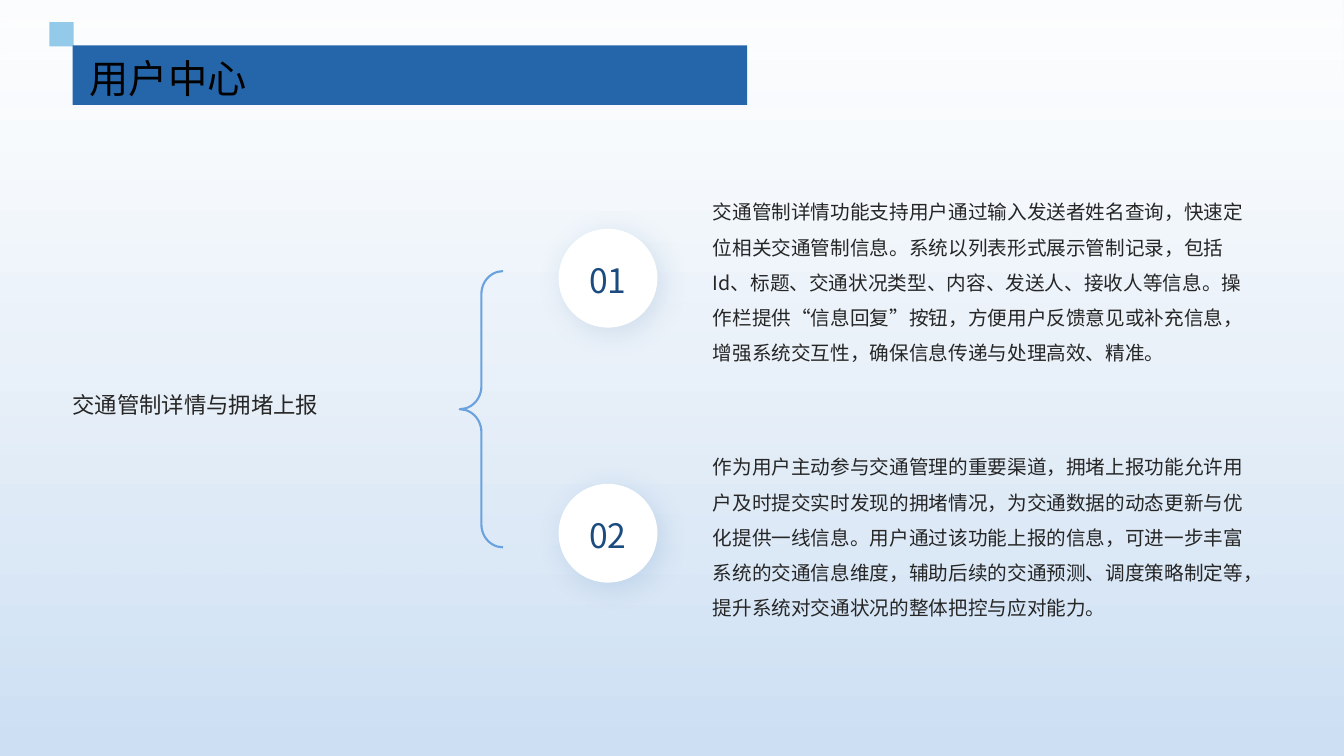
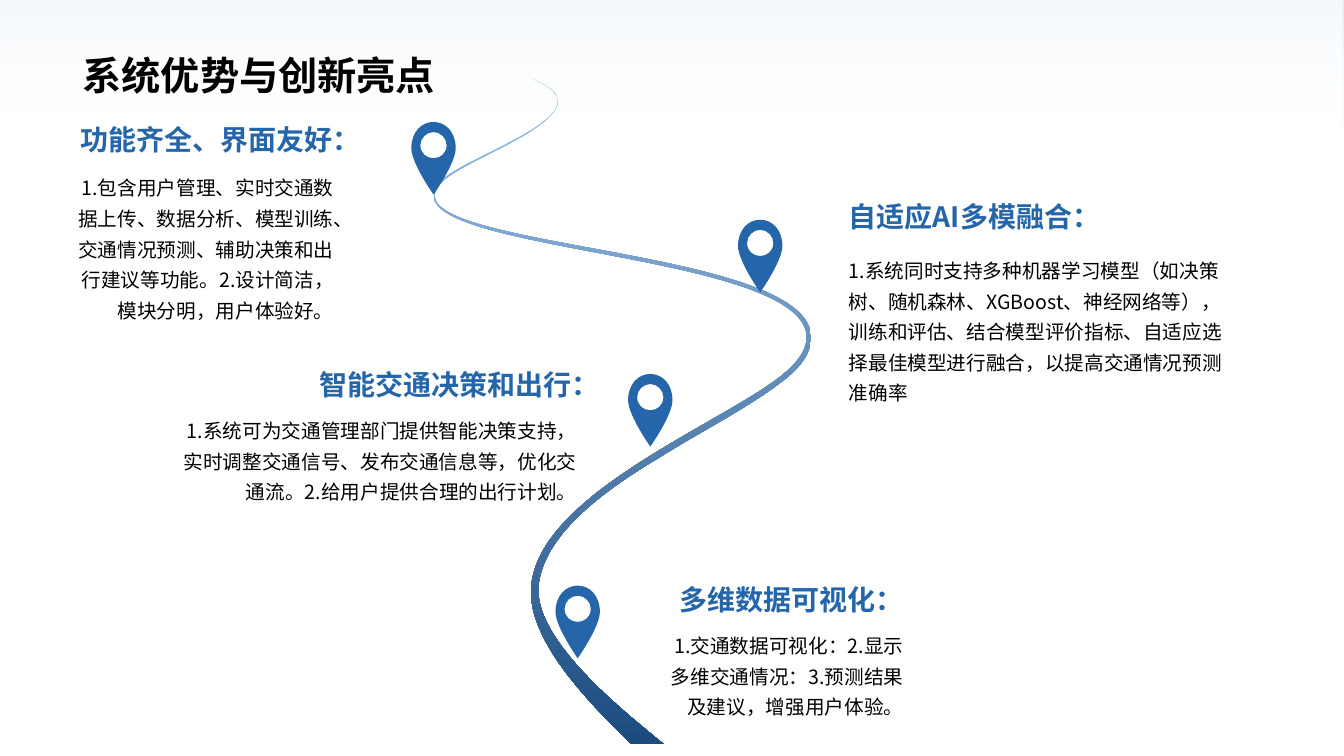
import pptx
import pptx.util
import pptx.dml.color
import pptx.enum.shapes
import pptx.enum.text
import pptx.oxml.ns
from lxml import etree

Inches = pptx.util.Inches
Pt = pptx.util.Pt
RGB = pptx.dml.color.RGBColor
qn = pptx.oxml.ns.qn
SHAPE = pptx.enum.shapes.MSO_SHAPE
ALIGN = pptx.enum.text.PP_ALIGN
ANCHOR = pptx.enum.text.MSO_ANCHOR

BLACK = RGB(0x00, 0x00, 0x00)
WHITE = RGB(0xFF, 0xFF, 0xFF)
GREY = RGB(0x26, 0x26, 0x26)
BLUE = RGB(0x25, 0x65, 0xA9)
NAVY = RGB(0x1C, 0x4C, 0x7F)
PALE = RGB(0xCD, 0xE0, 0xF4)
SKY = RGB(0x94, 0xCA, 0xE9)
LIGHT = RGB(0x9B, 0xC1, 0xE9)
LINE = RGB(0x69, 0xA2, 0xDE)

SANS = "Noto Sans CJK SC"
GOTHIC = "Noto Sans CJK JP"
WIDE, HIGH = 13.33, 7.5
UP, DOWN = 90, 270
INSET = (0.1, 0.05, 0.1, 0.05)
FLUSH = (0, 0, 0, 0)

PIN = [
    ((0.22, 0), [
        (0.1, 0, 0, 0.1, 0, 0.26),
        (0, 0.41, 0.22, 0.72, 0.22, 0.72),
        (0.22, 0.72, 0.44, 0.41, 0.44, 0.26),
        (0.44, 0.1, 0.34, 0, 0.22, 0),
    ]),
    ((0.22, 0.36), [
        (0.15, 0.36, 0.09, 0.31, 0.09, 0.23),
        (0.09, 0.16, 0.15, 0.1, 0.22, 0.1),
        (0.29, 0.1, 0.35, 0.16, 0.35, 0.23),
        (0.35, 0.31, 0.29, 0.36, 0.22, 0.36),
    ]),
]
ROAD = [
    ((0.97, 5.05), [
        (1.04, 4.13, 2.87, 3.43, 3.46, 2.95),
        (3.57, 2.86, 3.72, 2.72, 3.7, 2.54),
        (3.58, 1.76, 0.01, 1.73, 0, 1.17),
        (0, 1.11, 0.03, 1.07, 0.06, 1.04),
        (0.24, 0.83, 1.3, 0.49, 1.23, 0.21),
        (1.21, 0.13, 1.1, 0.06, 0.95, 0),
        (1.09, 0.05, 1.22, 0.13, 1.23, 0.21),
        (1.28, 0.45, 0.57, 0.73, 0.28, 0.9),
        (0.19, 0.95, 0.01, 1.05, 0.01, 1.17),
        (0.01, 1.69, 3.61, 1.72, 3.74, 2.53),
        (3.77, 2.73, 3.62, 2.88, 3.5, 2.98),
        (3.15, 3.26, 2.65, 3.51, 2.27, 3.75),
        (1.87, 3.99, 1.09, 4.47, 1.04, 5.05),
        (1, 5.6, 1.93, 6.32, 2.28, 6.61),
        (2.28, 6.61, 1.96, 6.61, 1.96, 6.61),
        (1.64, 6.29, 0.92, 5.61, 0.97, 5.05),
    ]),
]

TOPIC = "交通管制详情与拥堵上报"
POINTS = [
    "交通管制详情功能支持用户通过输入发送者姓名查询，快速定位相关交通管制信息。系统以列表形式展示管制记录，包括 Id、标题、交通状况类型、内容、发送人、接收人等信息。操作栏提供“信息回复”按钮，方便用户反馈意见或补充信息，增强系统交互性，确保信息传递与处理高效、精准。",
    "作为用户主动参与交通管理的重要渠道，拥堵上报功能允许用户及时提交实时发现的拥堵情况，为交通数据的动态更新与优化提供一线信息。用户通过该功能上报的信息，可进一步丰富系统的交通信息维度，辅助后续的交通预测、调度策略制定等，提升系统对交通状况的整体把控与应对能力。",
]
STOPS = [
    ((4.08, 1.21), ALIGN.RIGHT,
     "功能齐全、界面友好：", (0.18, 1.17, 3.5, 0.44),
     "1.包含用户管理、实时交通数据上传、数据分析、模型训练、交通情况预测、辅助决策和出行建议等功能。2.设计简洁，模块分明，用户体验好。",
     (0.58, 1.63, 2.83, 1.55)),
    ((7.32, 2.18), ALIGN.LEFT,
     "自适应AI多模融合：", (8.32, 1.93, 3.94, 0.44),
     "1.系统同时支持多种机器学习模型（如决策树、随机森林、XGBoost、神经网络等），训练和评估、结合模型评价指标、自适应选择最佳模型进行融合，以提高交通情况预测准确率",
     (8.32, 2.45, 3.94, 1.46)),
    ((6.23, 3.71), ALIGN.RIGHT,
     "智能交通决策和出行：", (2.11, 3.6, 3.94, 0.44),
     "1.系统可为交通管理部门提供智能决策支持，实时调整交通信号、发布交通信息等，优化交通流。2.给用户提供合理的出行计划。",
     (1.71, 4.04, 4.11, 0.91)),
    ((5.51, 5.81), ALIGN.RIGHT,
     "多维数据可视化：", (5.12, 5.73, 3.94, 0.44),
     "1.交通数据可视化：2.显示多维交通情况：3.预测结果及建议，增强用户体验。",
     (6.45, 6.17, 2.61, 0.96)),
]


def scale(box):
    """Turn a box in inches into lengths."""
    return [Inches(n) for n in box]


def blend(fill, ends, angle):
    """Fill with a gradient of two (position, colour) ends."""
    fill.gradient()
    fill.gradient_angle = angle
    for stop, (spot, color) in zip(fill.gradient_stops, ends):
        stop.position = spot
        stop.color.rgb = color


def fade(shape, index, alpha):
    """Make one colour of a shape partly see-through."""
    color = list(shape.element.iter(qn("a:srgbClr")))[index]
    etree.SubElement(color, qn("a:alpha"), val=str(alpha * 1000))


def plain(shape, color=None):
    """Strip line and shadow and set a solid fill."""
    shape.shadow.inherit = False
    shape.line.fill.background()
    if color is not None:
        shape.fill.solid()
        shape.fill.fore_color.rgb = color
    return shape


def block(slide, kind, box, color=None):
    """Add a plain preset shape."""
    return plain(slide.shapes.add_shape(kind, *scale(box)), color)


def write(shape, text, size, color, font, align=ALIGN.LEFT, space=None,
          bold=False, anchor=ANCHOR.TOP, inset=INSET):
    """Write one formatted run into a shape."""
    frame = shape.text_frame
    frame.word_wrap = True
    frame.auto_size = pptx.enum.text.MSO_AUTO_SIZE.NONE
    frame.vertical_anchor = anchor
    (frame.margin_left, frame.margin_top,
     frame.margin_right, frame.margin_bottom) = scale(inset)
    para = frame.paragraphs[0]
    para.alignment = align
    para.line_spacing = space
    run = para.add_run()
    run.text = text
    run.font.size = Pt(size)
    run.font.bold = bold
    run.font.color.rgb = color
    run.font.name = font
    latin = next(shape.element.iter(qn("a:latin")))
    latin.addnext(latin.makeelement(qn("a:ea"), {"typeface": font}))


def label(slide, box, *args, **style):
    """Add a text box."""
    write(slide.shapes.add_textbox(*scale(box)), *args, **style)


def title(slide, box, text, font, **style):
    """Place the title above what is already drawn."""
    shape = slide.shapes.title
    shape.left, shape.top, shape.width, shape.height = scale(box)
    slide.shapes.element.append(shape.element)
    write(shape, text, 28, BLACK, font, **style)


def base(deck, start):
    """Add a slide with the shared backdrop."""
    slide = deck.slides.add_slide(deck.slide_layouts[5])
    blend(slide.background.fill, [(start, WHITE), (1, PALE)], UP)
    veil = block(slide, SHAPE.RECTANGLE, (0, 0, WIDE, HIGH))
    blend(veil.fill, [(0.85, WHITE), (1, WHITE)], UP)
    fade(veil, 1, 75)
    return slide


def bend(shape):
    """Turn each three straight segments into one cubic curve."""
    lines = list(shape.element.iter(qn("a:lnTo")))
    for i in range(0, len(lines), 3):
        curve = lines[i].makeelement(qn("a:cubicBezTo"), {})
        lines[i].addprevious(curve)
        for line in lines[i:i + 3]:
            curve.append(line[0])
            line.getparent().remove(line)


def outline(slide, left, top, loops, color=None):
    """Draw closed curved loops from a corner."""
    pen = None
    for (x, y), curves in loops:
        start = scale((left + x, top + y))
        if pen is None:
            pen = slide.shapes.build_freeform(*start)
        else:
            pen.move_to(*start)
        pen.add_line_segments(
            [scale((left + curve[i], top + curve[i + 1]))
             for curve in curves for i in (0, 2, 4)], close=True)
    shape = pen.convert_to_shape()
    bend(shape)
    return plain(shape, color)


def badge(slide, box, text):
    """Add a numbered white disc with a soft shadow."""
    disc = block(slide, SHAPE.OVAL, box, WHITE)
    glow = etree.SubElement(
        next(disc.element.iter(qn("a:effectLst"))), qn("a:outerShdw"),
        blurRad=str(Pt(20)), dist=str(Pt(5)), dir=str(45 * 60000),
        algn="tl", rotWithShape="0")
    etree.SubElement(glow, qn("a:srgbClr"), val=str(BLUE))
    fade(disc, -1, 15)
    write(disc, text, 24, NAVY, SANS, align=ALIGN.CENTER, space=1.1,
          anchor=ANCHOR.MIDDLE)


def point(slide, left, top, number, text):
    """Add a badge and the passage beside it."""
    badge(slide, (left, top + 0.53, 0.98, 0.98), f"{number:02d}")
    label(slide, (left + 1.53, top, 5.44, 2.01), text, 14, GREY, SANS,
          space=1.5, anchor=ANCHOR.MIDDLE, inset=FLUSH)


def band(slide, left, top, text):
    """Add the title band with its corner square."""
    block(slide, SHAPE.RECTANGLE, (left, top, 0.24, 0.24), SKY)
    block(slide, SHAPE.RECTANGLE,
          (left + 0.23, top + 0.23, 6.69, 0.59), BLUE)
    title(slide, (left + 0.4, top + 0.27, 11.7, 0.51), text, SANS,
          space=1.1, anchor=ANCHOR.MIDDLE, inset=FLUSH)


def center(deck):
    """Build the user centre slide."""
    slide = base(deck, 0.85)
    tint = block(slide, SHAPE.RECTANGLE, (0, 0, WIDE, HIGH))
    blend(tint.fill, [(0, WHITE), (1, PALE)], DOWN)
    fade(tint, 0, 77)
    for i, text in enumerate(POINTS):
        point(slide, 5.54, 1.74 + i * 2.53, i + 1, text)
    label(slide, (0.72, 2.52, 4.07, 2.91), TOPIC, 16, GREY, SANS,
          space=1.3, anchor=ANCHOR.MIDDLE, inset=FLUSH)
    brace = block(slide, SHAPE.LEFT_BRACE, (4.56, 2.69, 0.43, 2.74))
    brace.fill.background()
    brace.adjustments[0] = 0.53
    brace.line.color.rgb = LINE
    brace.line.width = Pt(1.5)
    band(slide, 0.49, 0.22, "用户中心")


def merits(deck):
    """Build the winding road slide."""
    slide = base(deck, 0.8)
    road = outline(slide, 4.3, 0.77, ROAD)
    blend(road.fill, [(0, LIGHT), (1, NAVY)], DOWN)
    for spot, align, head, top, body, box in STOPS:
        outline(slide, *spot, PIN, BLUE)
        label(slide, top, head, 20, BLUE, GOTHIC, align=align, bold=True)
        label(slide, box, body, 14, BLACK, GOTHIC, align=align, space=1.3)
    title(slide, (0.72, 0.46, 11.67, 0.57), "系统优势与创新亮点", GOTHIC,
          bold=True, anchor=ANCHOR.BOTTOM)


def main():
    """Build and save the deck."""
    deck = pptx.Presentation()
    deck.slide_width, deck.slide_height = Inches(WIDE), Inches(HIGH)
    center(deck)
    merits(deck)
    deck.save("out.pptx")


if __name__ == "__main__":
    main()
